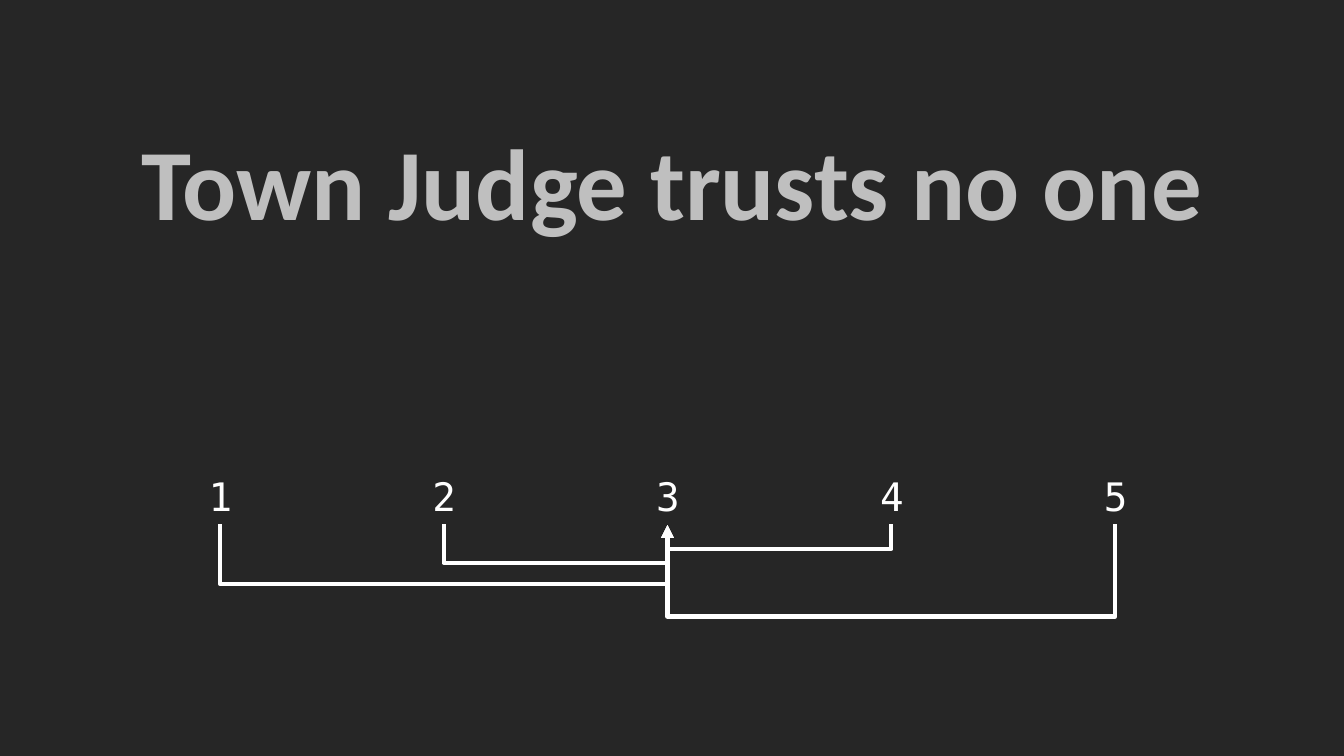
from lxml import etree
from pptx import Presentation
from pptx.dml.color import RGBColor
from pptx.enum.shapes import MSO_CONNECTOR
from pptx.enum.text import MSO_AUTO_SIZE, PP_ALIGN
from pptx.oxml.ns import qn
from pptx.util import Inches, Pt

ELBOW = MSO_CONNECTOR.ELBOW
GROW = MSO_AUTO_SIZE.SHAPE_TO_FIT_TEXT
CENTER = PP_ALIGN.CENTER
COLORS = {"background": "262626", "title": "BFBFBF", "diagram": "FFFFFF"}

FIRST_X, PITCH = 2.18, 2.22
LABEL_TOP, LABEL_W, LABEL_H = 4.64, 0.42, 0.57
ARROW_Y, ARROW_RISE = 5.2, 0.01
JUDGE = 3
DROPS = {1: 0.6, 4: 0.25, 5: 0.93, 2: 0.39}


def rgb(name):
    """Return the named colour."""
    return RGBColor.from_string(COLORS[name])


def center_x(number):
    """Return the horizontal centre of a numbered person in inches."""
    return FIRST_X + (number - 1) * PITCH


def add_text(slide, text, box, size, font, color, wrap=False, bold=False, align=None):
    """Add a single-paragraph text box."""
    tb = slide.shapes.add_textbox(*(Inches(v) for v in box))
    tf = tb.text_frame
    tf.word_wrap = wrap
    tf.auto_size = GROW
    tf.text = text
    p = tf.paragraphs[0]
    p.alignment = align
    r = p.runs[0]
    r.font.name = font
    r.font.size = Pt(size)
    r.font.bold = bold
    r.font.color.rgb = rgb(color)


def add_trust_arrow(slide, start, end, drop):
    """Add an elbow arrow that dips below the row from one number to another."""
    x1, x2 = center_x(start), center_x(end)
    mid, half_span = (x1 + x2) / 2, abs(x2 - x1) / 2
    rightward = x1 < x2
    left, right = mid - ARROW_RISE / 2, mid + ARROW_RISE / 2
    begin, finish = (right, left) if rightward else (left, right)
    mid_y = ARROW_Y + ARROW_RISE / 2
    cxn = slide.shapes.add_connector(
        ELBOW, Inches(begin), Inches(mid_y - half_span),
        Inches(finish), Inches(mid_y + half_span))
    cxn.line.color.rgb = rgb("diagram")
    cxn.line.width = Pt(3)
    sp_pr = cxn._element.spPr
    sp_pr.find(qn("a:xfrm")).set("rot", str((270 if rightward else 90) * 60000))
    guides = sp_pr.find(qn("a:prstGeom")).find(qn("a:avLst"))
    bend = round(drop / ARROW_RISE * 100000)
    etree.SubElement(guides, qn("a:gd"), name="adj1", fmla=f"val {bend}")
    ln = sp_pr.find(qn("a:ln"))
    etree.SubElement(ln, qn("a:tailEnd"), type="triangle")
    etree.SubElement(sp_pr, qn("a:effectLst"))


def main():
    """Build the slide and save it."""
    prs = Presentation()
    prs.slide_width, prs.slide_height = Inches(13.33), Inches(7.5)
    slide = prs.slides.add_slide(prs.slide_layouts[6])
    slide.background.fill.solid()
    slide.background.fill.fore_color.rgb = rgb("background")

    for number in range(1, 6):
        box = (center_x(number) - LABEL_W / 2, LABEL_TOP, LABEL_W, LABEL_H)
        add_text(slide, str(number), box, 28, "DejaVu Sans Mono", "diagram")
    add_text(slide, "Town Judge trusts no one", (0.54, 1.14, 12.25, 1.31), 72,
             "Calibri", "title", wrap=True, bold=True, align=CENTER)
    for person, drop in DROPS.items():
        add_trust_arrow(slide, person, JUDGE, drop)

    prs.save("out.pptx")


if __name__ == "__main__":
    main()
